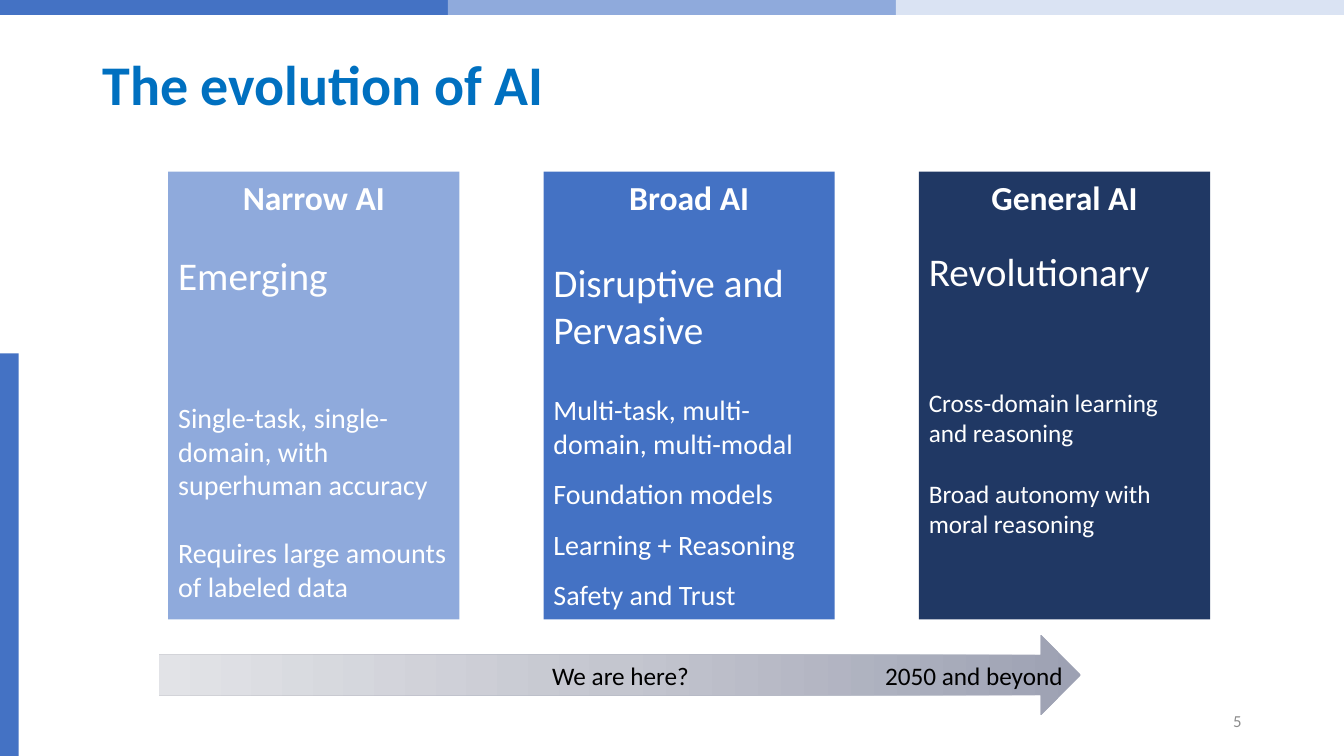
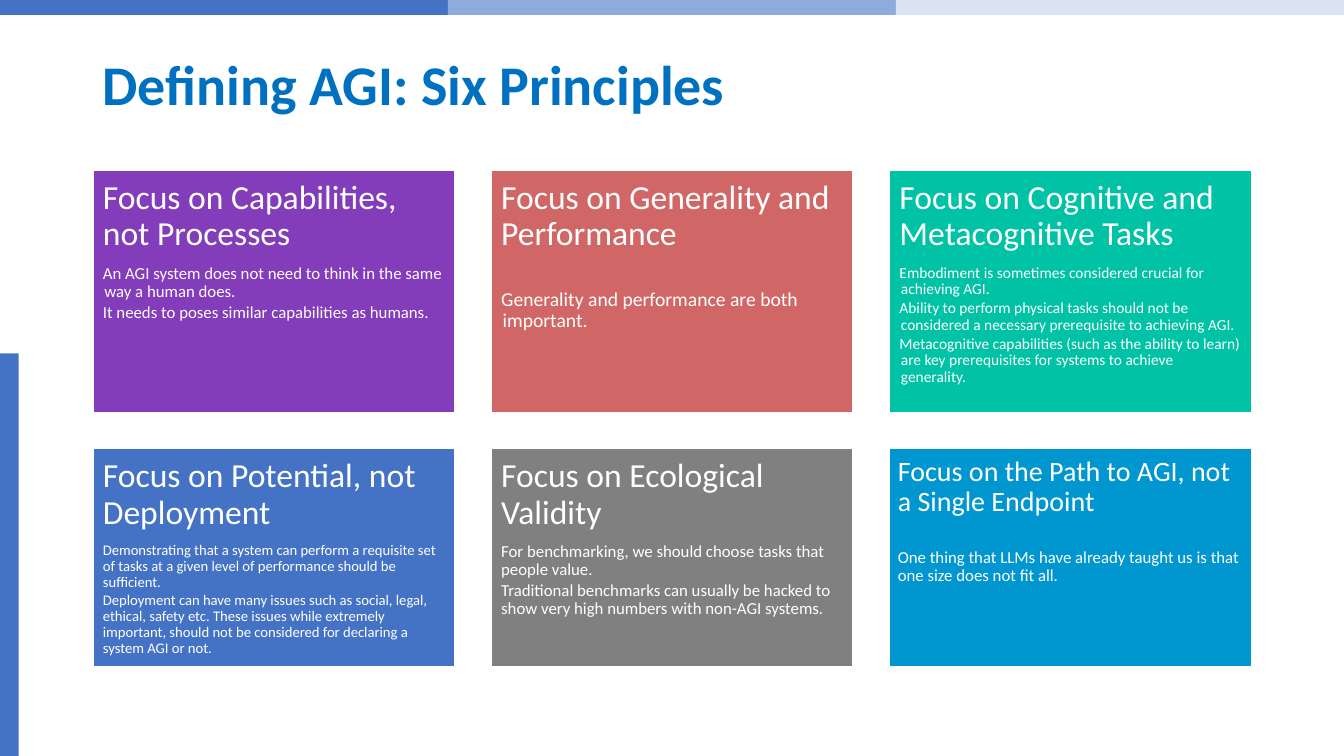
from copy import deepcopy

from pptx import Presentation, util as u
from pptx.dml import color
from pptx.enum import shapes, text
from pptx.oxml import ns

Pt = u.Pt
FONT = "Calibri"
BLUE, LIGHT_BLUE, PALE_BLUE, NAVY = "4472C4", "8FAADC", "DAE3F3", "203864"
TITLE_BLUE, WHITE, BLACK, GREY = "0070C0", "FFFFFF", "000000", "8C8C8C"
PURPLE, RED, GREEN, MID_GREY, CYAN = "833CBA", "D06766", "00C2A4", "808080", "0097D0"
ARROW_COLOURS = ["9DA1B3", "C4C6CF", "E2E3E7"]
WIDTH, HEIGHT = 960, 540
LINE = 1.22

STAGES = [
    ("Narrow AI", "Emerging", LIGHT_BLUE, 20, 20, 3, [
        ("Single-task, single-domain, with superhuman accuracy", 3, 1),
        ("Requires large amounts of labeled data", 1, 1),
    ]),
    ("Broad AI", "Disruptive and Pervasive", BLUE, 20, 24, 1, [
        ("Multi-task, multi-domain, multi-modal", 1, 1),
        ("Foundation models", 0, 1.5),
        ("Learning + Reasoning", 0, 1.5),
        ("Safety and Trust", 0, 1.5),
    ]),
    ("General AI", "Revolutionary", NAVY, 18, 18, 3, [
        ("Cross-domain learning and reasoning", 3, 1),
        ("Broad autonomy with moral reasoning", 1, 1),
    ]),
]
STAGES = [(name, tag, fill, size, gap, body) for name, tag, fill, size, gap, _, body in STAGES]

PRINCIPLES = [
    ("Focus on Capabilities, not Processes", 24, PURPLE, 12, 0, [
        "An AGI system does not need to think in the same way a human does.",
        "It needs to poses similar capabilities as humans.",
    ]),
    ("Focus on Generality and Performance", 24, RED, 14, 1, [
        "Generality and performance are both important.",
    ]),
    ("Focus on Cognitive and Metacognitive Tasks", 24, GREEN, 11, 0, [
        "Embodiment is sometimes considered crucial for achieving AGI.",
        "Ability to perform physical tasks should not be considered a necessary "
        "prerequisite to achieving AGI.",
        "Metacognitive capabilities (such as the ability to learn) are key "
        "prerequisites for systems to achieve generality.",
    ]),
    ("Focus on Potential, not Deployment", 24, BLUE, 10.5, 0, [
        "Demonstrating that a system can perform a requisite set of tasks at a "
        "given level of performance should be sufficient.",
        "Deployment can have many issues such as social, legal, ethical, safety "
        "etc. These issues while extremely important, should not be considered "
        "for declaring a system AGI or not.",
    ]),
    ("Focus on Ecological Validity", 24, MID_GREY, 12, 0, [
        "For benchmarking, we should choose tasks that people value.",
        "Traditional benchmarks can usually be hacked to show very high numbers "
        "with non-AGI systems.",
    ]),
    ("Focus on the Path to AGI, not a Single Endpoint", 20, CYAN, 12, 1, [
        "One thing that LLMs have already taught us is that one size does not fit all.",
    ]),
]


def rgb(value):
    return color.RGBColor.from_string(value)


def add_box(s, box, fill, kind=shapes.MSO_SHAPE.RECTANGLE, line=None):
    sp = s.shapes.add_shape(kind, *map(Pt, box))
    sp.shadow.inherit = False
    if fill:
        sp.fill.solid()
        sp.fill.fore_color.rgb = rgb(fill)
    if line:
        sp.line.color.rgb = rgb(line)
        sp.line.width = Pt(1)
    else:
        sp.line.fill.background()
    return sp


def write(p, words, size, colour=WHITE, bold=False, align=text.PP_ALIGN.LEFT,
          spacing=1, before=0, after=0):
    p.text = words
    p.alignment = align
    p.line_spacing = spacing
    p.space_before = Pt(before)
    p.space_after = Pt(after)
    p.font.name = FONT
    p.font.size = Pt(size)
    p.font.bold = bold
    p.font.color.rgb = rgb(colour)


def add_label(s, box, words, size, colour, align=text.PP_ALIGN.LEFT, wrap=False):
    tf = s.shapes.add_textbox(*map(Pt, box)).text_frame
    tf.word_wrap = wrap
    tf.vertical_anchor = text.MSO_ANCHOR.MIDDLE
    write(tf.paragraphs[0], words, size, colour, align=align)


def start_slide(prs, title):
    s = prs.slides.add_slide(prs.slide_layouts[5])
    band = WIDTH / 3
    for i, fill in enumerate([BLUE, LIGHT_BLUE, PALE_BLUE]):
        add_box(s, (i * band, -1.5, band, 12.2), fill)
    add_box(s, (0, 252.4, 13.4, HEIGHT - 252.4), BLUE)
    sp = s.shapes.title
    sp.left, sp.top, sp.width, sp.height = map(Pt, (66, 28.8, 828, 67.6))
    tf = sp.text_frame
    tf.word_wrap = True
    tf.auto_size = text.MSO_AUTO_SIZE.NONE
    tf.vertical_anchor = text.MSO_ANCHOR.MIDDLE
    write(tf.paragraphs[0], title, 40, TITLE_BLUE, True, spacing=0.9)
    return s


def add_card(s, box, fill, inset=None, line=None):
    tf = add_box(s, box, fill, line=line).text_frame
    tf.word_wrap = True
    tf.vertical_anchor = text.MSO_ANCHOR.TOP
    if inset:
        tf.margin_left = tf.margin_right = tf.margin_top = tf.margin_bottom = Pt(inset)
    return tf


def add_stage(s, box, name, tag, fill, size, gap, body):
    tf = add_card(s, box, fill)
    write(tf.paragraphs[0], name, 24, bold=True, align=text.PP_ALIGN.CENTER)
    write(tf.add_paragraph(), tag, 28, before=gap * LINE)
    for words, blanks, spacing in body:
        write(tf.add_paragraph(), words, size, spacing=spacing, before=blanks * gap * LINE)


def add_timeline(s, box):
    x, y, w, h = box
    sp = add_box(s, box, None, shapes.MSO_SHAPE.RIGHT_ARROW)
    sp.fill.gradient()
    sp.fill.gradient_angle = 180
    stops = sp._element.spPr.find(".//" + ns.qn("a:gsLst"))
    stops.append(deepcopy(stops[-1]))
    for i, (stop, value) in enumerate(zip(sp.fill.gradient_stops, ARROW_COLOURS)):
        stop.position = i / 2
        stop.color.rgb = rgb(value)
    for dx, width, words in [(273.6, 113.8, "We are here?"), (511.6, 143.3, "2050 and beyond")]:
        add_label(s, (x + dx, y + h / 2 - 14.5, width, 29), words, 18, BLACK)


def add_principle(s, box, heading, heading_size, fill, size, blanks, body, hang):
    tf = add_card(s, box, fill, heading_size * 0.3, WHITE)
    write(tf.paragraphs[0], heading, heading_size, spacing=0.9, after=heading_size * 0.35)
    for i, words in enumerate(body):
        p = tf.add_paragraph()
        before = 0 if i else blanks * size * 1.25
        write(p, words, size, spacing=0.9, before=before, after=size * 0.15)
        if hang:
            pPr = p._p.get_or_add_pPr()
            pPr.set("marL", str(Pt(hang)))
            pPr.set("indent", str(-Pt(hang)))


def evolution_slide(prs):
    s = start_slide(prs, "The evolution of AI")
    for i, stage in enumerate(STAGES):
        add_stage(s, (120.2 + i * 268.1, 122.5, 208, 320), *stage)
    add_timeline(s, (113.6, 453.4, 658.6, 57.6))
    add_label(s, (678, 500.5, 216, 28.8), "5", 12, GREY, text.PP_ALIGN.RIGHT, True)


def principles_slide(prs):
    s = start_slide(prs, "Defining AGI: Six Principles")
    left, top, width, gap = 66.3, 121.8, 258.5, 26
    heights = [172.8, 155.5]
    for i, principle in enumerate(PRINCIPLES):
        row, column = divmod(i, 3)
        x = left + column * (width + gap)
        y = top + row * (heights[0] + gap)
        add_principle(s, (x, y, width, heights[row]), *principle, hang=0 if row else 1)


def main():
    prs = Presentation()
    prs.slide_width, prs.slide_height = Pt(WIDTH), Pt(HEIGHT)
    evolution_slide(prs)
    principles_slide(prs)
    prs.save("out.pptx")


if __name__ == "__main__":
    main()
